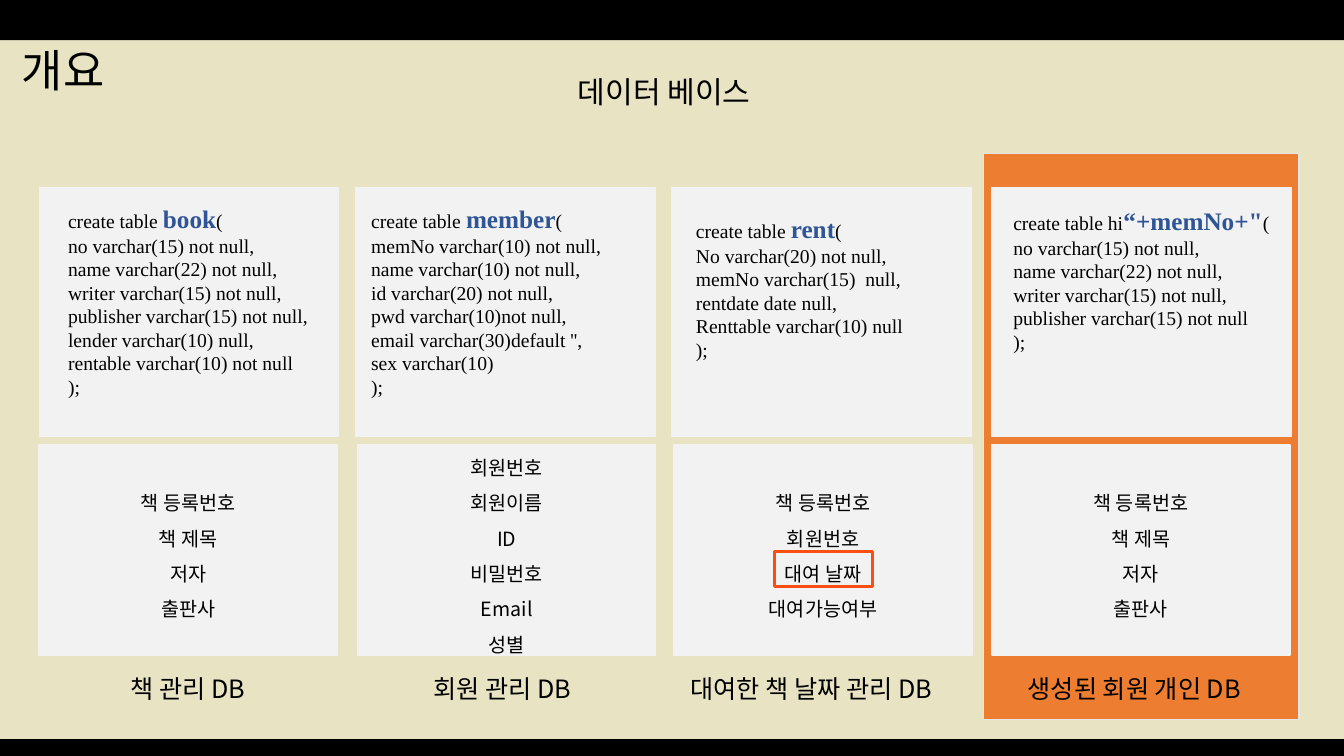
from collections import namedtuple

from lxml.etree import SubElement
from pptx import Presentation
from pptx.dml.color import RGBColor
from pptx.enum.shapes import MSO_SHAPE as Preset
from pptx.enum.text import MSO_ANCHOR as Anchor, PP_ALIGN as Align
from pptx.oxml.ns import qn
from pptx.util import Pt

KOREAN, SERIF = "Noto Sans CJK KR", "Times New Roman"
BLACK, PANEL, ORANGE = "000000", "F2F2F2", "ED7D31"
COLUMN_WIDTH, UPPER_HEIGHT, LOWER_TOP, LOWER_HEIGHT = 214, 178, 184, 150
COLUMN_TOP = 134

Table = namedtuple("Table", "left opening name code code_at fields field_shift caption caption_width")
TABLES = [
    Table(28, "create table ", "book",
          ["no varchar(15) not null,", "name varchar(22) not null,",
           "writer varchar(15) not null,", "publisher varchar(15) not null,",
           "lender varchar(10) null,", "rentable varchar(10) not null", ");"],
          (11, 6.4), ["책 등록번호", "책 제목", "저자", "출판사"], 0, "책 관리 DB", 110),
    Table(254, "create table ", "member",
          ["memNo varchar(10) not null,", "name varchar(10) not null,",
           "id varchar(20) not null,", "pwd varchar(10)not null,",
           "email varchar(30)default '',", "sex varchar(10)", ");"],
          (1.5, 6.4), ["회원번호", "회원이름", "ID", "비밀번호", "Email", "성별"], 1.5,
          "회원 관리 DB", 129),
    Table(480, "create table ", "rent",
          ["No varchar(20) not null,", "memNo varchar(15)  null,",
           "rentdate date null,", "Renttable varchar(10) null", ");"],
          (7.5, 13.6), ["책 등록번호", "회원번호", "대여 날짜", "대여가능여부"], 1.5,
          "대여한 책 날짜 관리 DB", 214),
    Table(708.5, "create table hi", "“+memNo+\"",
          ["no varchar(15) not null,", "name varchar(22) not null,",
           "writer varchar(15) not null,", "publisher varchar(15) not null", ");"],
          (5.7, 7.8), ["책 등록번호", "책 제목", "저자", "출판사"], 0, "생성된 회원 개인 DB", 189),
]


def colour(code):
    """Turn a hex string into a colour."""
    return RGBColor.from_string(code)


def add_box(page, box, fill=None, line=None, weight=1):
    """Add a flat rectangle; box is left, top, width, height."""
    shape = page.shapes.add_shape(Preset.RECTANGLE, *map(Pt, box))
    shape.shadow.inherit = False
    if fill:
        shape.fill.solid()
        shape.fill.fore_color.rgb = colour(fill)
    else:
        shape.fill.background()
    if line:
        shape.line.color.rgb = colour(line)
        shape.line.width = Pt(weight)
    else:
        shape.line.fill.background()
    return shape


def style(span, size, font, code=BLACK, bold=False):
    """Format one run, covering Latin and East Asian letters."""
    span.font.size, span.font.name, span.font.bold = Pt(size), font, bold
    span.font.color.rgb = colour(code)
    SubElement(span.font._element, qn("a:ea"), typeface=font)


def write(shape, text, size, font=KOREAN, align=Align.LEFT, anchor=Anchor.TOP,
          spacing=None, wrap=True, insets=(9.6, 4.8)):
    """Fill a shape with text, one paragraph a line."""
    frame = shape.text_frame
    frame.text = text
    frame.word_wrap, frame.vertical_anchor = wrap, anchor
    frame.margin_left = frame.margin_right = Pt(insets[0])
    frame.margin_top = frame.margin_bottom = Pt(insets[1])
    for para in frame.paragraphs:
        para.alignment = align
        para.line_spacing = spacing
        for span in para.runs:
            style(span, size, font)
    return frame


def add_text(page, box, text, size, **options):
    """Add a text box at the given place."""
    return write(page.shapes.add_textbox(*map(Pt, box)), text, size, **options)


def draw_frame(page, width, height):
    """Draw the background and the black bars at both edges."""
    page.background.fill.solid()
    page.background.fill.fore_color.rgb = colour("E8E3C2")
    add_box(page, (0, 0, width, 28.8), BLACK)
    add_box(page, (0, height - 12, width, 12), BLACK)


def draw_headings(page, left, top):
    """Draw the slide title and the subject beside it."""
    add_text(page, (left, top, 109, 56), "개요", 32, anchor=Anchor.MIDDLE,
             spacing=0.9, insets=(7.2, 3.6))
    add_text(page, (left + 275.8, top + 24.5, 380, 34), "데이터 베이스", 21.5,
             align=Align.CENTER, insets=(7.2, 3.6))


def draw_table_column(page, left, top, table):
    """Draw one database: its SQL, its fields and its caption."""
    add_box(page, (left, top, COLUMN_WIDTH, UPPER_HEIGHT), PANEL, PANEL)
    shift_x, shift_y = table.code_at
    code = add_text(page, (left + shift_x, top + shift_y, COLUMN_WIDTH - shift_x + 6, 150),
                    "\n".join([table.opening] + table.code), 14, font=SERIF)
    for text, look in ((table.name, (18, SERIF, "2F5597", True)), ("(", (14, SERIF))):
        span = code.paragraphs[0].add_run()
        span.text = text
        style(span, *look)

    fields = add_box(page, (left + table.field_shift, top + LOWER_TOP,
                            COLUMN_WIDTH - 1, LOWER_HEIGHT), PANEL, PANEL)
    write(fields, "\n".join(table.fields), 14, align=Align.CENTER,
          anchor=Anchor.MIDDLE, spacing=1.5)
    caption_left = left + (COLUMN_WIDTH - table.caption_width) / 2 + 3.5
    add_text(page, (caption_left, top + 342, table.caption_width, 31.7),
             table.caption, 18, wrap=False)


def draw_databases(page, top):
    """Draw the four databases, with the personal one and the date marked."""
    rent, personal = TABLES[2:]
    add_box(page, (personal.left - 6, top - 24.5, 225.5, 404.5), ORANGE, "E7E6E6")
    for table in TABLES:
        draw_table_column(page, table.left, top, table)
    add_box(page, (rent.left + 73.5, top + 260, 70, 25), line="FA4F12", weight=2.25)


deck = Presentation()
deck.slide_width, deck.slide_height = Pt(960), Pt(540)
page = deck.slides.add_slide(deck.slide_layouts[6])
draw_frame(page, 960, 540)
draw_databases(page, COLUMN_TOP)
draw_headings(page, 8.6, 24.5)
deck.save("out.pptx")
